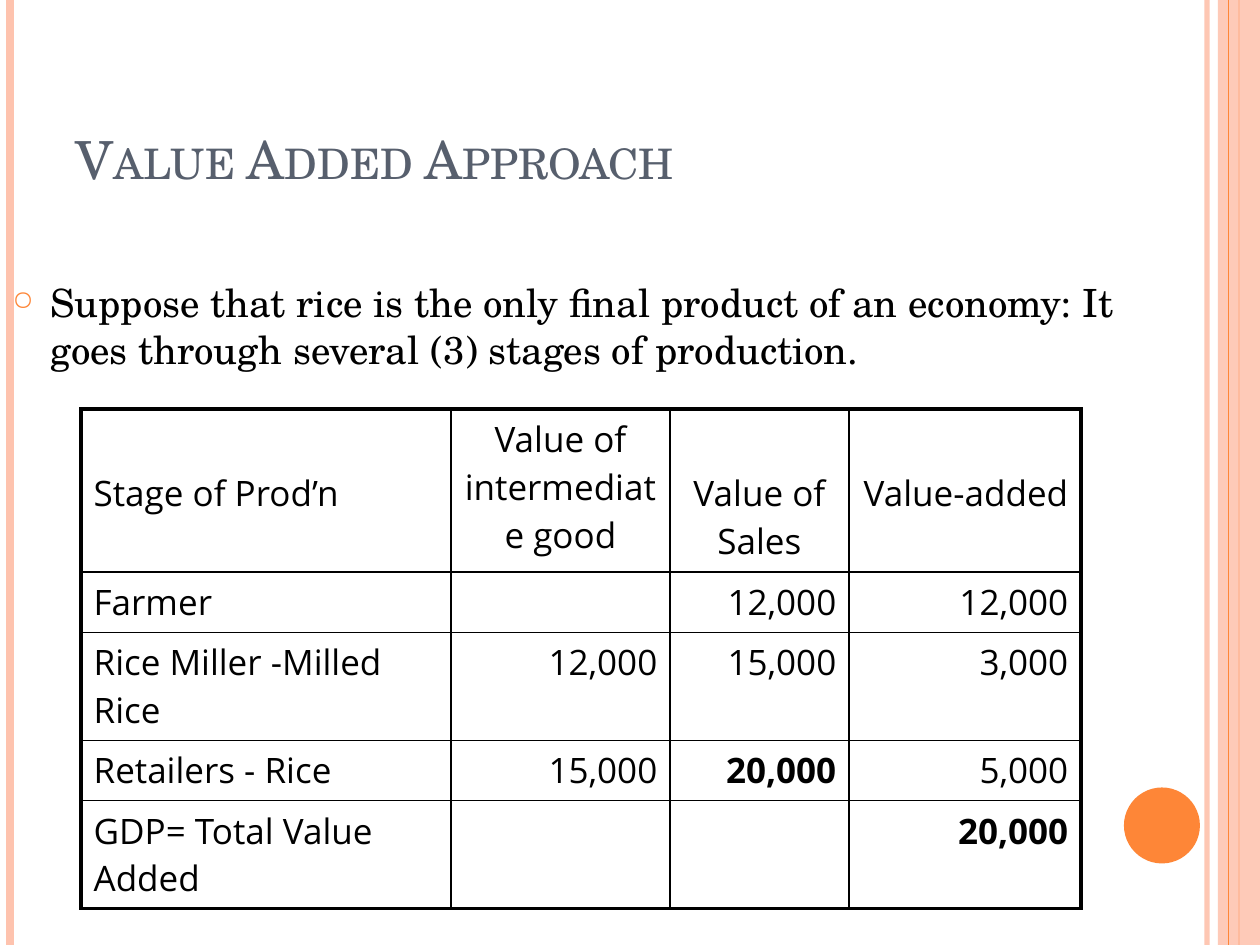
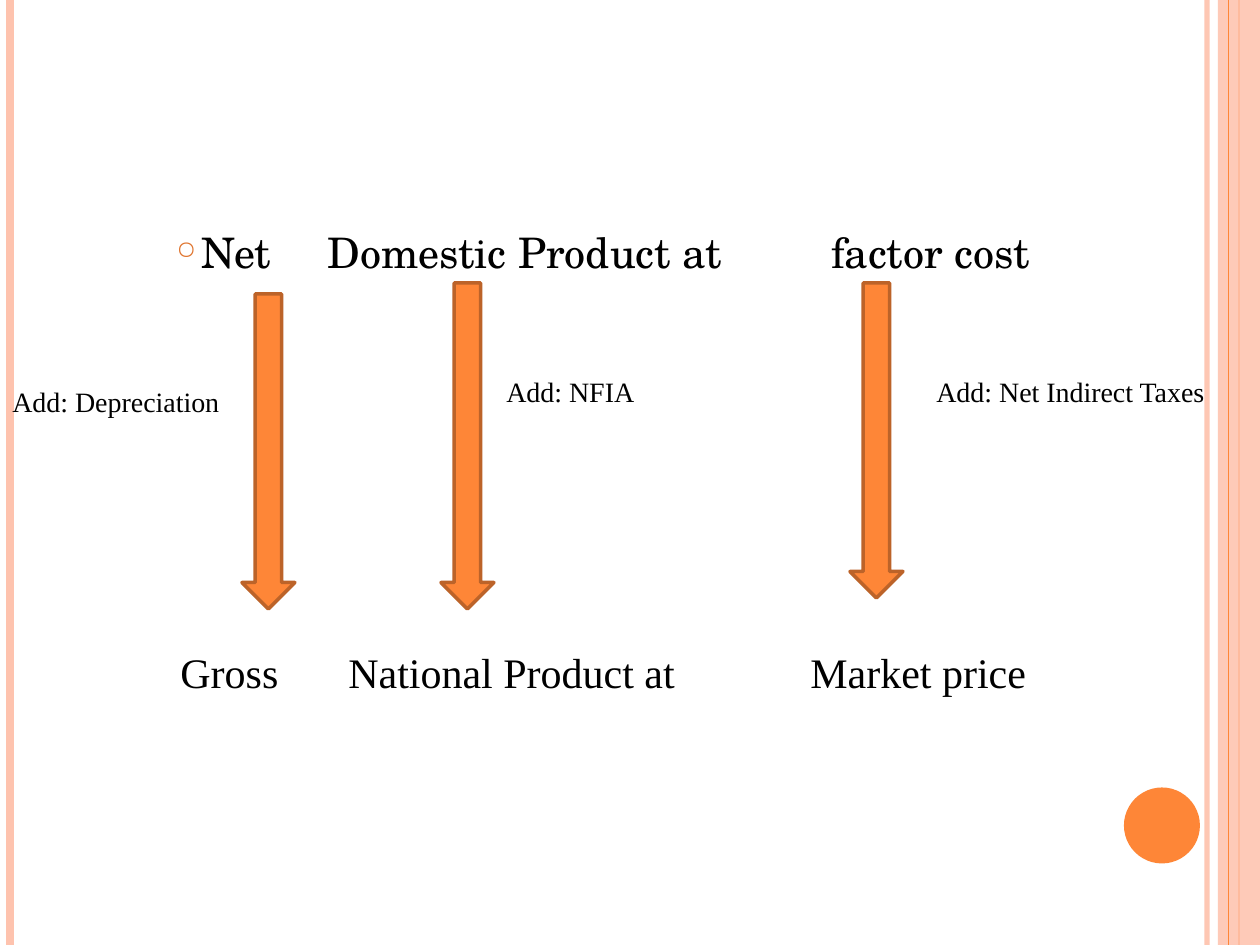
from lxml.etree import SubElement
from pptx import Presentation
from pptx.dml.color import RGBColor
from pptx.enum.shapes import MSO_CONNECTOR, MSO_SHAPE
from pptx.enum.text import MSO_ANCHOR, PP_ALIGN
from pptx.oxml.ns import qn
from pptx.util import Pt

SCALE = 914400 / 126  # EMU per pixel
WIDTH, HEIGHT = 1260, 945
ORANGE, PEACH, BROWN = "FE8637", "FEC3AE", "BC6329"
BULLET, SLATE, BLACK = "E0752F", "575F6D", "000000"
SCHOLA, TIMES, SANS = "TeX Gyre Schola", "Times New Roman", "Open Sans"
LEFT, CENTER, RIGHT = PP_ALIGN.LEFT, PP_ALIGN.CENTER, PP_ALIGN.RIGHT


def px(*lengths):
    return [round(length * SCALE) for length in lengths]


def color(hex_string):
    return RGBColor.from_string(hex_string)


def assign(target, values):
    for name, value in values.items():
        setattr(target, name, value)


def add_xml(parent, tag, **attributes):
    return SubElement(parent, qn(tag), {key: str(value) for key, value in attributes.items()})


class Deck:
    def __init__(self):
        self.presentation = Presentation()
        assign(self.presentation, dict(zip(("slide_width", "slide_height"), px(WIDTH, HEIGHT))))
        self.slide = None

    def new_slide(self, layout):
        layouts = self.presentation.slide_layouts
        self.slide = self.presentation.slides.add_slide(layouts.get_by_name(layout))
        self.decorate()

    def decorate(self):
        """Side bands and the disc that every slide carries."""
        self.vertical_line(1207, PEACH, 3, opacity=93)
        self.vertical_line(10, PEACH, 4.5)
        self.vertical_line(1239, ORANGE, 1.5)
        self.shape(MSO_SHAPE.RECTANGLE, (1218, 0, 42, HEIGHT), PEACH, opacity=87)
        self.vertical_line(1228.5, ORANGE, 0.75)
        self.shape(MSO_SHAPE.OVAL, (1124, 787.5, 76, 76), ORANGE)

    def set_opacity(self, element, opacity):
        for color_element in element.iter(qn("a:srgbClr")):
            add_xml(color_element, "a:alpha", val=opacity * 1000)

    def vertical_line(self, x, line_color, width, opacity=None):
        line = self.slide.shapes.add_connector(MSO_CONNECTOR.STRAIGHT, *px(x, 0, x, HEIGHT))
        line.line.width = Pt(width)
        line.line.color.rgb = color(line_color)
        properties = line._element.spPr
        if opacity:
            self.set_opacity(properties, opacity)
        add_xml(properties, "a:effectLst")

    def shape(self, kind, box, fill, outline=None, opacity=None):
        shape = self.slide.shapes.add_shape(kind, *px(*box))
        shape.shadow.inherit = False
        shape.fill.solid()
        shape.fill.fore_color.rgb = color(fill)
        if outline:
            shape.line.color.rgb = color(outline)
            shape.line.width = Pt(2)
        else:
            shape.line.fill.background()
        if opacity:
            self.set_opacity(shape._element.spPr, opacity)

    def put_text(self, frame, text, font, size, font_color=BLACK, align=LEFT, bold=False):
        paragraph = frame.paragraphs[0]
        paragraph.alignment = align
        run = paragraph.add_run()
        run.text = text
        assign(run.font, {"name": font, "size": Pt(size), "bold": bold})
        run.font.color.rgb = color(font_color)
        return paragraph

    def title(self, text, box):
        title = self.slide.shapes.title
        assign(title, dict(zip(("left", "top", "width", "height"), px(*box))))
        title.text_frame.vertical_anchor = MSO_ANCHOR.BOTTOM
        paragraph = self.put_text(title.text_frame, text, SCHOLA, 30, SLATE)
        paragraph.runs[0].font._element.set("cap", "small")

    def text(self, text, box, font, size, tabs=()):
        frame = self.slide.shapes.add_textbox(*px(*box)).text_frame
        frame.word_wrap = True
        paragraph = self.put_text(frame, text, font, size)
        if tabs:
            tab_list = add_xml(paragraph._p.get_or_add_pPr(), "a:tabLst")
            for position in px(*tabs):
                add_xml(tab_list, "a:tab", pos=position, algn="l")
        return paragraph

    def bullet(self, text, box, size, margin, hanging, bullet_color, percent):
        paragraph = self.text(text, box, SCHOLA, size)
        paragraph.space_before = Pt(6)
        properties = paragraph._p.get_or_add_pPr()
        margin, hanging, tab = px(margin, hanging, 126)
        for name, value in {"marL": margin, "indent": -hanging, "defTabSz": tab}.items():
            properties.set(name, str(value))
        add_xml(add_xml(properties, "a:buClr"), "a:srgbClr", val=bullet_color)
        add_xml(properties, "a:buSzPct", val=percent * 1000)
        add_xml(properties, "a:buChar", char="○")

    def cell_borders(self, cell, outer):
        """Thick on the outside of the table, thin inside it."""
        properties = cell._tc.get_or_add_tcPr()
        for side in "LRTB":
            width = Pt(2.25 if side in outer else 1)
            line = add_xml(properties, f"a:ln{side}", w=width)
            add_xml(add_xml(line, "a:solidFill"), "a:srgbClr", val=BLACK)
        cell.fill.background()

    def table(self, rows, left, top, widths, heights, header_aligns, bold_cells, lowered):
        box = px(left, top, sum(widths), sum(heights))
        table = self.slide.shapes.add_table(len(rows), len(widths), *box).table
        assign(table, {"first_row": False, "horz_banding": False})
        for column, width in zip(table.columns, px(*widths)):
            column.width = width
        for row, height in zip(table.rows, px(*heights)):
            row.height = height
        last_row, last_column = len(rows) - 1, len(widths) - 1
        for r, values in enumerate(rows):
            for c, value in enumerate(values):
                cell = table.cell(r, c)
                edges = {"L": c == 0, "R": c == last_column, "T": r == 0, "B": r == last_row}
                self.cell_borders(cell, [side for side, outer in edges.items() if outer])
                align = header_aligns[c] if r == 0 else RIGHT if c else LEFT
                if value:
                    self.put_text(cell.text_frame, value, SANS, 20, align=align,
                                  bold=(r, c) in bold_cells)
                if (r, c) in lowered:
                    cell.margin_top = px(60)[0]


deck = Deck()

# Slide 1: value added table
deck.new_slide("Title Only")
deck.title("Value Added Approach", (63, 38, 1029, 158))
deck.table(
    [
        ("Stage of Prod’n", "Value of intermediate good", "Value of Sales", "Value-added"),
        ("Farmer", "", "12,000", "12,000"),
        ("Rice Miller -Milled Rice", "12,000", "15,000", "3,000"),
        ("Retailers - Rice", "15,000", "20,000", "5,000"),
        ("GDP= Total Value Added", "", "", "20,000"),
    ],
    left=81, top=409, widths=(370, 219, 179, 232), heights=(163, 60, 108, 60, 108),
    header_aligns=(LEFT, CENTER, CENTER, RIGHT),
    bold_cells={(3, 2), (4, 3)}, lowered={(0, 0), (0, 2), (0, 3)},
)
deck.bullet(
    "Suppose that rice is the only final product of an economy: "
    "It goes through several (3) stages of production.",
    (0, 273, 1134, 126), 22.2, margin=38, hanging=38, bullet_color=ORANGE, percent=70,
)

# Slide 2: from net product at factor cost to gross product at market price
deck.new_slide("Blank")
deck.bullet("Net \tDomestic Product at \tfactor cost", (63, 220, 1029, 672), 24,
            margin=126, hanging=25, bullet_color=BULLET, percent=60)
for x, y, height in ((441, 283, 326), (242, 294, 315), (850, 283, 315)):
    deck.shape(MSO_SHAPE.DOWN_ARROW, (x, y, 53, height), ORANGE, outline=BROWN)
for label, x, y, width in (
    ("Add: Depreciation", 0, 378, 252),
    ("Add: NFIA", 494, 368, 179),
    ("Add: Net Indirect Taxes", 924, 368, 305),
):
    deck.text(label, (x, y, width, 47), TIMES, 16)
deck.text("Gross\tNational Product at\tMarket price", (168, 640, 1018, 63), TIMES, 24,
          tabs=(168, 630))

deck.presentation.save("out.pptx")
